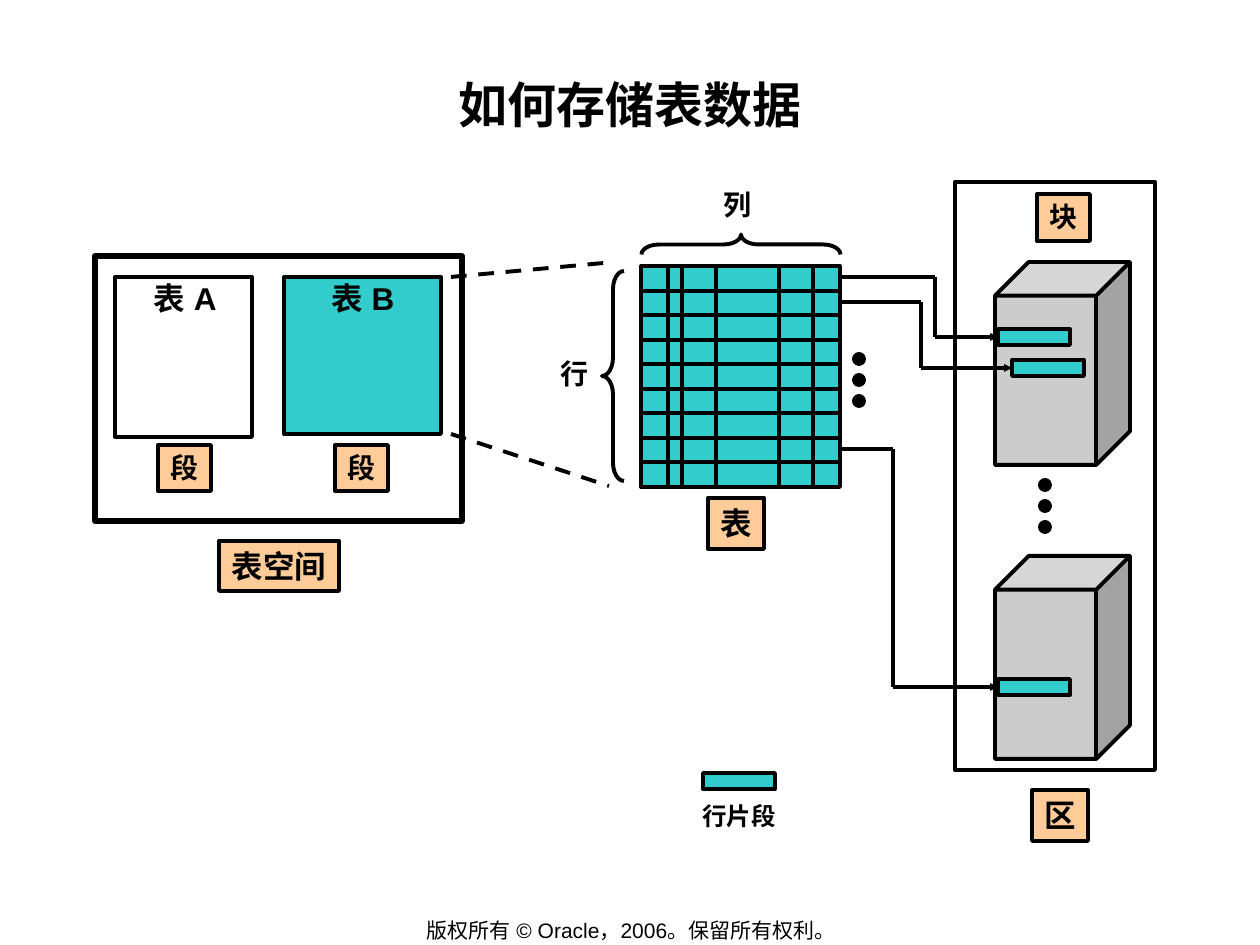
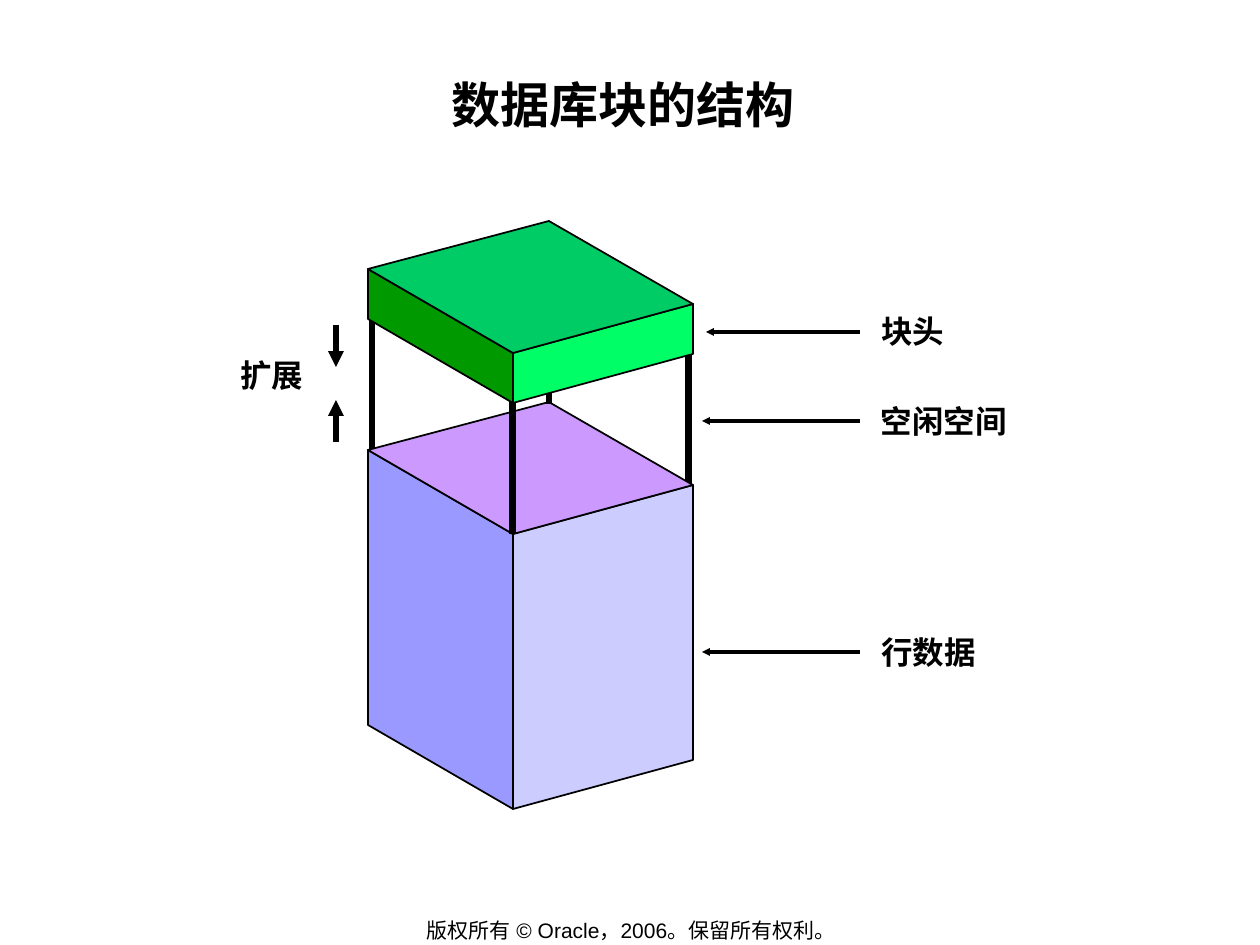
from lxml import etree
from pptx import Presentation
from pptx.dml.color import RGBColor
from pptx.enum import dml, lang, shapes, text
from pptx.oxml import ns
from pptx.util import Pt

BLACK = RGBColor(0, 0, 0)
PEACH = RGBColor(0xFF, 0xCC, 0x99)
TEAL = RGBColor(0x33, 0xCC, 0xCC)
GRAY = RGBColor(0xCC, 0xCC, 0xCC)
BODY = [RGBColor(0x99, 0x99, 0xFF), RGBColor(0xCC, 0xCC, 0xFF), RGBColor(0xCC, 0x99, 0xFF)]
LID = [RGBColor(0, 0x99, 0), RGBColor(0, 0xFF, 0x66), RGBColor(0, 0xCC, 0x66)]

FONT = "Arial"
SCALE = 914400 / 126
KIND = shapes.MSO_SHAPE
LEFT, MID = text.PP_ALIGN.LEFT, text.PP_ALIGN.CENTER

TITLES = ["如何存储表数据", "数据库块的结构 "]
FOOTER = "版权所有 © Oracle，2006。保留所有权利。"

TAGS = [
    ("表空间", 18, (219, 541, 120, 50)),
    ("段", 16, (158, 445, 53, 46)),
    ("段", 16, (335, 445, 53, 46)),
    ("表", 18, (708, 498, 56, 51)),
    ("块", 16, (1037, 194, 53, 47)),
    ("区", 18, (1032, 790, 56, 51)),
]
NAMES = [
    ("表 A", 18, (138, 273, 94, 50)),
    ("表 B", 18, (316, 273, 94, 50)),
    ("行", 16, (544, 350, 60, 47)),
    ("列", 16, (710, 182, 54, 47)),
    ("行片段", 14, (690, 795, 98, 43)),
]
FRAMES = [
    ((95, 256, 367, 265), None, 3.25),
    ((115, 277, 137, 160), None, 2.25),
    ((284, 277, 157, 157), TEAL, 2.25),
    ((955, 182, 200, 588), None, 2.25),
]
GRID = (641, 266, 199, 221)
ROWS = 9
COLS = [668, 682, 716, 779, 813]
ZOOM = [(451, 277, 604, 263), (451, 434, 609, 486)]
CUBES = [262, 556]
ROUTES = [(277, 935, (998, 329)), (302, 921, (1012, 360)), (449, 893, (998, 679))]
KEY = (703, 773)
DOTS = [(854, 354), (1040, 480)]
BRACES = [((602, 271, 22, 210), 0, 0.83), ((731, 145, 20, 199), 90, 0.87)]

PARTS = [("块头", 332, (869, 306, 93, 49), 706),
         ("空闲空间", 421, (869, 396, 161, 49), 702),
         ("行数据", 652, (869, 627, 131, 49), 702)]
GROW = ("扩展", 18, (228, 350, 88, 50))
PUSH = [(336, 442, 336, 400), (336, 325, 336, 367)]
SIDES = [(372, 316, 372, 452), (689, 355, 689, 485)]
FRONT = (513, 399, 513, 534)
BACK = (549, 310, 549, 404)
CORNERS = {"left": (368, 0), "front": (513, 84), "right": (693, 35), "back": (549, -48)}


def emu(px):
    return round(px * SCALE)


def place(box):
    return [emu(n) for n in box]


def paint(shape, fill=None, width=2.25):
    shape.shadow.inherit = False
    if fill is None:
        shape.fill.background()
    else:
        shape.fill.solid()
        shape.fill.fore_color.rgb = fill
    shape.line.color.rgb = BLACK
    shape.line.width = Pt(width)
    return shape


def draw(slide, kind, box, fill=None, width=2.25):
    return paint(slide.shapes.add_shape(kind, *place(box)), fill, width)


def write(slide, words, box, size=18, bold=True, align=MID, wrap=False,
          inset=12, anchor=text.MSO_ANCHOR.TOP, fill=None):
    if fill is None:
        shape = slide.shapes.add_textbox(*place(box))
    else:
        shape = draw(slide, KIND.RECTANGLE, box, fill)
    frame = shape.text_frame
    frame.word_wrap = wrap
    frame.vertical_anchor = anchor
    frame.margin_left = frame.margin_right = emu(inset)
    frame.margin_top = frame.margin_bottom = emu(inset // 2)
    para = frame.paragraphs[0]
    para.alignment = align
    run = para.add_run()
    run.text = words
    font = run.font
    font.size, font.bold, font.name = Pt(size), bold, FONT
    font.color.rgb = BLACK
    font.language_id = lang.MSO_LANGUAGE_ID.SIMPLIFIED_CHINESE
    etree.SubElement(run._r.get_or_add_rPr(), ns.qn("a:ea"), typeface=FONT)


def link(slide, ends, width=2.25, dash=False, head=None, goal=None):
    line = slide.shapes.add_connector(shapes.MSO_CONNECTOR.STRAIGHT, *place(ends))
    line.line.color.rgb = BLACK
    line.line.width = Pt(width)
    if dash:
        line.line.dash_style = dml.MSO_LINE.DASH
    if head:
        etree.SubElement(line.line._get_or_add_ln(), ns.qn("a:tailEnd"),
                         type="triangle", w=head, len=head)
    if goal is not None:
        line.end_connect(goal, 1)
    etree.SubElement(line._element.spPr, ns.qn("a:effectLst"))


def piece(slide, spot):
    return draw(slide, KIND.RECTANGLE, (*spot, 72, 16), TEAL)


def face(slide, points, fill):
    form = slide.shapes.build_freeform(*points[0], scale=SCALE)
    form.add_line_segments(points[1:], close=True)
    paint(form.convert_to_shape(), fill, 1)


def prism(slide, top, high, fills):
    up = {name: (x, top + dy) for name, (x, dy) in CORNERS.items()}
    low = {name: (x, y + high) for name, (x, y) in up.items()}
    for side, fill in zip(("left", "right"), fills):
        face(slide, [up[side], low[side], low["front"], up["front"]], fill)
    face(slide, list(up.values()), fills[2])


def start(deck, title):
    slide = deck.slides.add_slide(deck.slide_layouts[6])
    write(slide, FOOTER, (348, 917, 566, 26), size=12, bold=False,
          anchor=text.MSO_ANCHOR.MIDDLE)
    write(slide, title, (126, 73, 1008, 121), size=28, wrap=True, inset=2)
    return slide


def storage(deck):
    slide = start(deck, TITLES[0])
    for box, fill, width in FRAMES:
        draw(slide, KIND.RECTANGLE, box, fill, width)
    for words, size, box in TAGS:
        write(slide, words, box, size=size, fill=PEACH)
    for words, size, box in NAMES:
        write(slide, words, box, size=size)
    x, y, wide, high = GRID
    draw(slide, KIND.RECTANGLE, GRID, TEAL)
    for row in range(1, ROWS):
        level = y + row * high / ROWS
        link(slide, (x, level, x + wide, level))
    for col in COLS:
        link(slide, (col, y, col, y + high))
    for ends in ZOOM:
        link(slide, ends, dash=True)
    for top in CUBES:
        draw(slide, KIND.CUBE, (995, top, 135, 203), GRAY)
    for level, turn, spot in ROUTES:
        goal = piece(slide, spot)
        drop = spot[1] + 8
        link(slide, (x + wide, level, turn, level))
        link(slide, (turn, level, turn, drop))
        link(slide, (turn, drop, spot[0], drop), head="sm", goal=goal)
    piece(slide, KEY)
    for left, top in DOTS:
        for step in range(3):
            draw(slide, KIND.OVAL, (left, top + 21 * step, 10, 10), BLACK)
    for box, turn, bend in BRACES:
        brace = draw(slide, KIND.LEFT_BRACE, box)
        brace.rotation = turn
        brace.adjustments[0] = bend


def block(deck):
    slide = start(deck, TITLES[1])
    for words, level, box, tip in PARTS:
        write(slide, words, box, align=LEFT, wrap=True, inset=12)
        link(slide, (860, level, tip, level), head="sm")
    words, size, box = GROW
    write(slide, words, box, size=size)
    for ends in PUSH:
        link(slide, ends, width=3, head="med")
    for ends in SIDES:
        link(slide, ends, width=4)
    prism(slide, 450, 275, BODY)
    link(slide, FRONT, width=4)
    link(slide, BACK, width=3)
    prism(slide, 269, 50, LID)


def main():
    deck = Presentation()
    deck.slide_width, deck.slide_height = emu(1260), emu(945)
    storage(deck)
    block(deck)
    deck.save("out.pptx")


if __name__ == "__main__":
    main()
